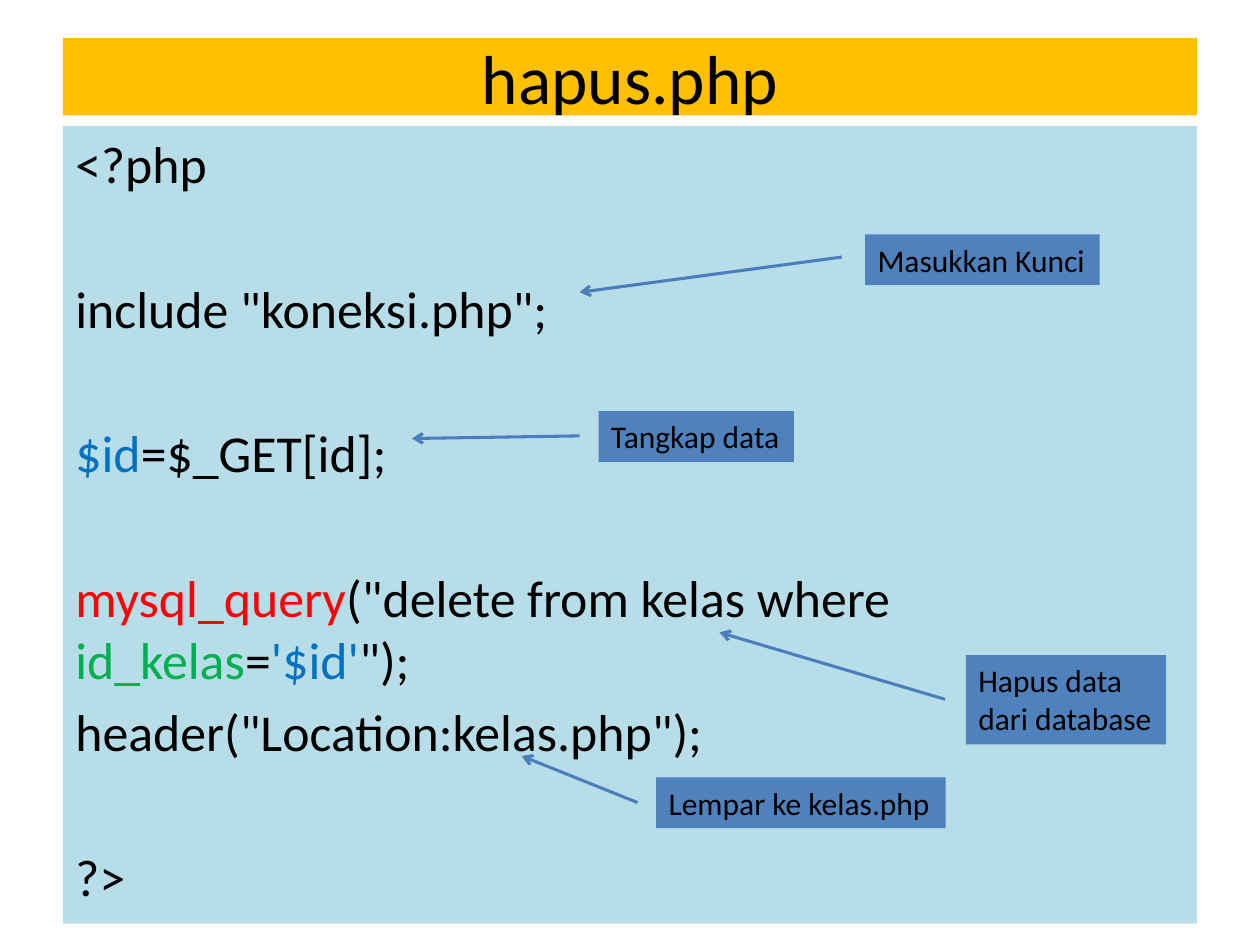
from lxml import etree
from pptx import Presentation
from pptx import util as u
from pptx.dml import color
from pptx.enum import shapes, text
from pptx.oxml import ns

Pt = u.Pt
COLORS = {
    "title": "FFC000", "code": "B7DEE8", "label": "4F81BD", "arrow": "4B7EBC",
    "black": "000000", "blue": "0070C0", "red": "FF0000", "green": "00B050",
}


def rgb(name):
    return color.RGBColor.from_string(COLORS[name])


def add_box(area, lines, fill, size, align=text.PP_ALIGN.LEFT,
            anchor=text.MSO_ANCHOR.TOP, wrap=True):
    box = page.shapes.add_shape(shapes.MSO_SHAPE.RECTANGLE, *map(Pt, area))
    box.shadow.inherit = False
    box.fill.solid()
    box.fill.fore_color.rgb = rgb(fill)
    box.line.fill.background()
    frame = box.text_frame
    frame.word_wrap = wrap
    frame.vertical_anchor = anchor
    for index, (space, spans) in enumerate(lines):
        para = frame.paragraphs[0] if index == 0 else frame.add_paragraph()
        para.alignment = align
        para.space_before = Pt(space)
        for number, (words, tint) in enumerate(spans):
            for part, piece in enumerate(words.split("\n")):
                if part:
                    para.add_line_break()
                span = para.add_run()
                span.text = piece
                span.font.name = "Calibri"
                span.font.size = Pt(size)
                span.font.color.rgb = rgb(tint)


deck = Presentation()
deck.slide_width, deck.slide_height = Pt(720), Pt(540)
page = deck.slides.add_slide(deck.slide_layouts[6])

add_box((36, 21.6, 648, 44.4), [(0, [("hapus.php", "black")])], "title", 39.6,
        align=text.PP_ALIGN.CENTER, anchor=text.MSO_ANCHOR.MIDDLE)

near, far = 5.9, 47
code = [
    (near, [("<?php", "black")]),
    (far, [('include "koneksi.php";', "black")]),
    (far, [("$id", "blue"), ("=$_GET[id];", "black")]),
    (far, [("mysql_query", "red"), ('("delete from kelas where ', "black"),
           ("id_kelas", "green"), ("=", "black"), ("'$id'", "blue"),
           ('");', "black")]),
    (near, [('header("Location:kelas.php");', "black")]),
    (far, [("?>", "black")]),
]
add_box((36, 72, 648, 455.8), code, "code", 29.6)

notes = [
    ("Masukkan Kunci", (494.4, 133.9, 134, 29), (481, 146.9, 331.2, 167)),
    ("Tangkap data", (342, 234.9, 111.6, 29), (331.2, 249.1, 235.4, 250.6)),
    ("Hapus data \ndari database", (552, 374.4, 114.4, 51), (540, 399.6, 411.1, 361.4)),
    ("Lempar ke kelas.php", (375, 444.2, 165.4, 29), (364.3, 458.6, 298.1, 432)),
]
for label, area, ends in notes:
    add_box(area, [(0, [(label, "black")])], "label", 18, wrap=False)
    arrow = page.shapes.add_connector(shapes.MSO_CONNECTOR.STRAIGHT, *map(Pt, ends))
    arrow.line.color.rgb = rgb("arrow")
    arrow.line.width = Pt(1.75)
    properties = arrow._element.spPr
    outline = properties.find(ns.qn("a:ln"))
    etree.SubElement(outline, ns.qn("a:tailEnd"), type="arrow")
    etree.SubElement(properties, ns.qn("a:effectLst"))

deck.save("out.pptx")
